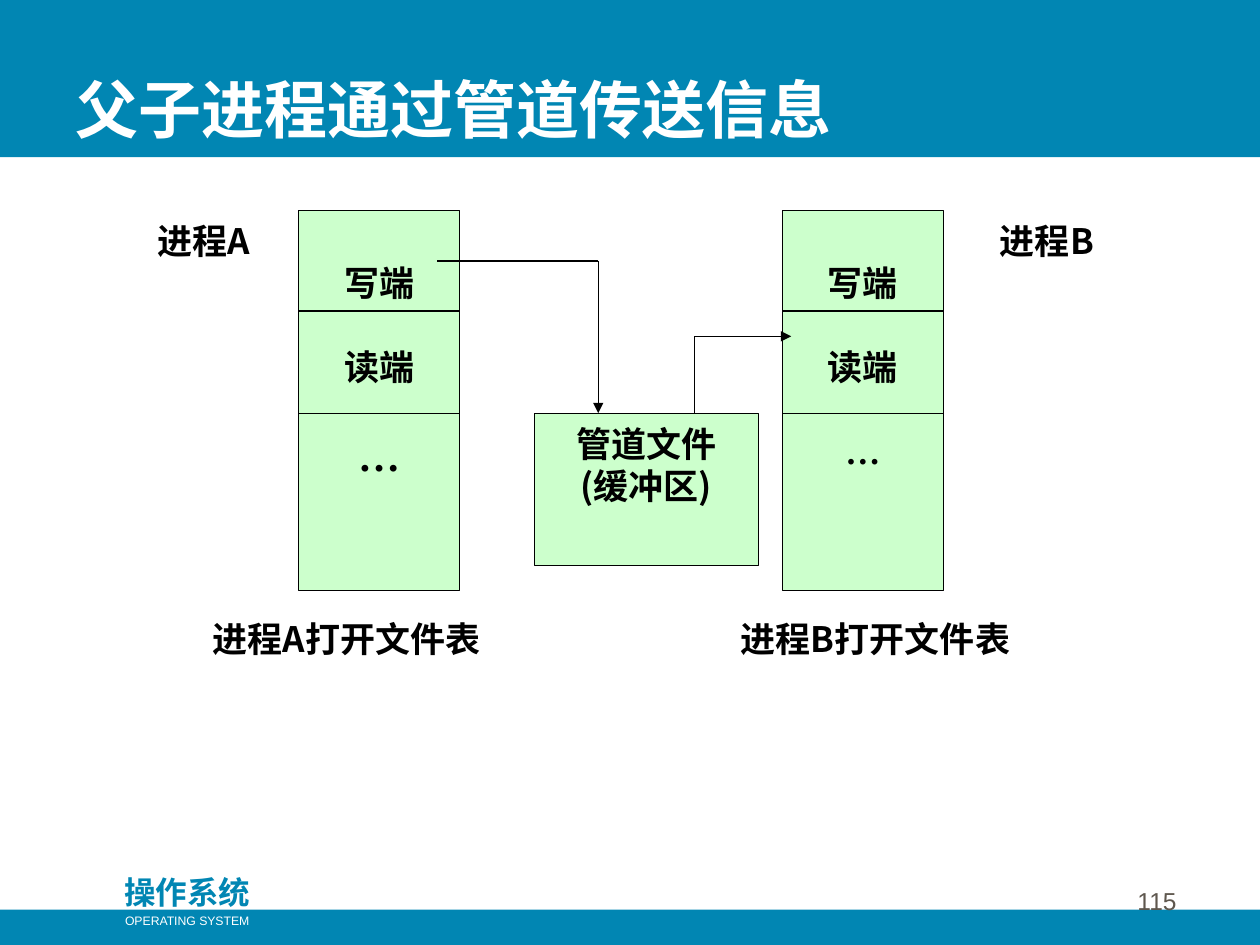
from lxml.etree import SubElement
from pptx import Presentation
from pptx.dml.color import RGBColor
from pptx.enum.shapes import MSO_CONNECTOR, MSO_SHAPE
from pptx.enum.text import MSO_ANCHOR, PP_ALIGN
from pptx.oxml.ns import qn
from pptx.util import Cm, Pt

BLUE, GREEN, BLACK, WHITE, GREY = "0186B3", "CCFFCC", "000000", "FFFFFF", "5E574E"
CHINESE, LATIN, SERIF = "Noto Sans CJK SC", "Arial", "Times New Roman"

deck = Presentation()
deck.slide_width, deck.slide_height = Cm(25.4), Cm(19.05)
page = deck.slides.add_slide(deck.slide_layouts[6])


def add_box(place, lines=(), fill=None, outline=None, size=20, color=BLACK,
            font=CHINESE, align=PP_ALIGN.CENTER, inset=0.18, gap=0):
    """Place is left, top, width, height in cm; a line is its text or (text, size, font)."""
    lengths = [Cm(value) for value in place]
    if fill:
        box = page.shapes.add_shape(MSO_SHAPE.RECTANGLE, *lengths)
        box.shadow.inherit = False
        box.fill.solid()
        box.fill.fore_color.rgb = RGBColor.from_string(fill)
        if outline:
            box.line.color.rgb = RGBColor.from_string(outline)
            box.line.width = Pt(0.75)
        else:
            box.line.fill.background()
    else:
        box = page.shapes.add_textbox(*lengths)
    frame = box.text_frame
    frame.word_wrap = True
    frame.vertical_anchor = MSO_ANCHOR.TOP
    frame.margin_top = Cm(inset)
    for index, line in enumerate(lines):
        text, points, face = (line, size, font) if isinstance(line, str) else line
        para = frame.add_paragraph() if index else frame.paragraphs[0]
        para.alignment = align
        if index:
            para.space_before = Pt(gap)
        if face == CHINESE:
            para.line_spacing = Pt(points * 1.2)
        span = para.add_run()
        span.text = text
        span.font.size = Pt(points)
        span.font.name = face
        span.font.bold = face != LATIN
        span.font.color.rgb = RGBColor.from_string(color)
        SubElement(span.font._element, qn("a:ea"), typeface=face)
    return box


def add_line(x1, y1, x2, y2, arrow=False):
    line = page.shapes.add_connector(MSO_CONNECTOR.STRAIGHT, Cm(x1), Cm(y1), Cm(x2), Cm(y2))
    line.line.color.rgb = RGBColor.from_string(BLACK)
    line.line.width = Pt(0.75)
    if arrow:
        SubElement(line.line._get_or_add_ln(), qn("a:tailEnd"), type="triangle")
    SubElement(line._element.spPr, qn("a:effectLst"))


# Bands, title and footer
add_box((0, 0, 25.4, 3.17), fill=BLUE)
add_box((0, 18.34, 25.4, 0.71), fill=BLUE)
add_box((2.11, 17.42, 3.33, 1.02), ["操作系统"], size=18, color=BLUE)
add_box((2.11, 18.29, 3.33, 0.56), ["OPERATING SYSTEM"], size=7, color=WHITE,
        font=LATIN, inset=0.13)
add_box((1.27, 1.07, 21.59, 1.9), ["父子进程通过管道传送信息"], size=36, color=WHITE,
        align=PP_ALIGN.LEFT, inset=0.35)
number = add_box((18.69, 17.3, 5.28, 1.27), ["115"], size=14, color=GREY,
                 font=LATIN, align=PP_ALIGN.RIGHT)
number.text_frame.vertical_anchor = MSO_ANCHOR.BOTTOM

# Open file tables of both processes
table_top, table_width, table_height = 4.24, 3.25, 9.67 - 2
row_lines = (6.27, 8.33)
processes = [
    ("A", 6.02, 24, (2.74, 2.74), (3.81, 6.35)),
    ("B", 15.77, 20, (19.48, 3.25), (14.17, 6.96)),
]
for name, left, dots_size, (label_left, label_width), (caption_left, caption_width) in processes:
    add_box((left, table_top, table_width, table_height),
            ["写端", "读端", ("…", dots_size, SERIF)],
            fill=GREEN, outline=BLACK, inset=1.04, gap=24)
    for y in row_lines:
        add_line(left, y, left + table_width, y)
    add_box((label_left, table_top, label_width, 1.09), [f"进程{name}"])
    add_box((caption_left, 12.27, caption_width, 1.45), [f"进程{name}打开文件表"])

# Pipe file and the data flow through it
pipe_top = row_lines[1]
add_box((10.77, pipe_top, 4.52, 3.07), ["管道文件", "(缓冲区)"], fill=GREEN, outline=BLACK)
write_x, write_y = 12.06, 5.26
read_x, read_y = 14, 6.78
add_line(8.81, write_y, write_x, write_y)
add_line(write_x, write_y, write_x, pipe_top, arrow=True)
add_line(read_x, pipe_top, read_x, read_y)
add_line(read_x, read_y, 15.95, read_y, arrow=True)

deck.save("out.pptx")
